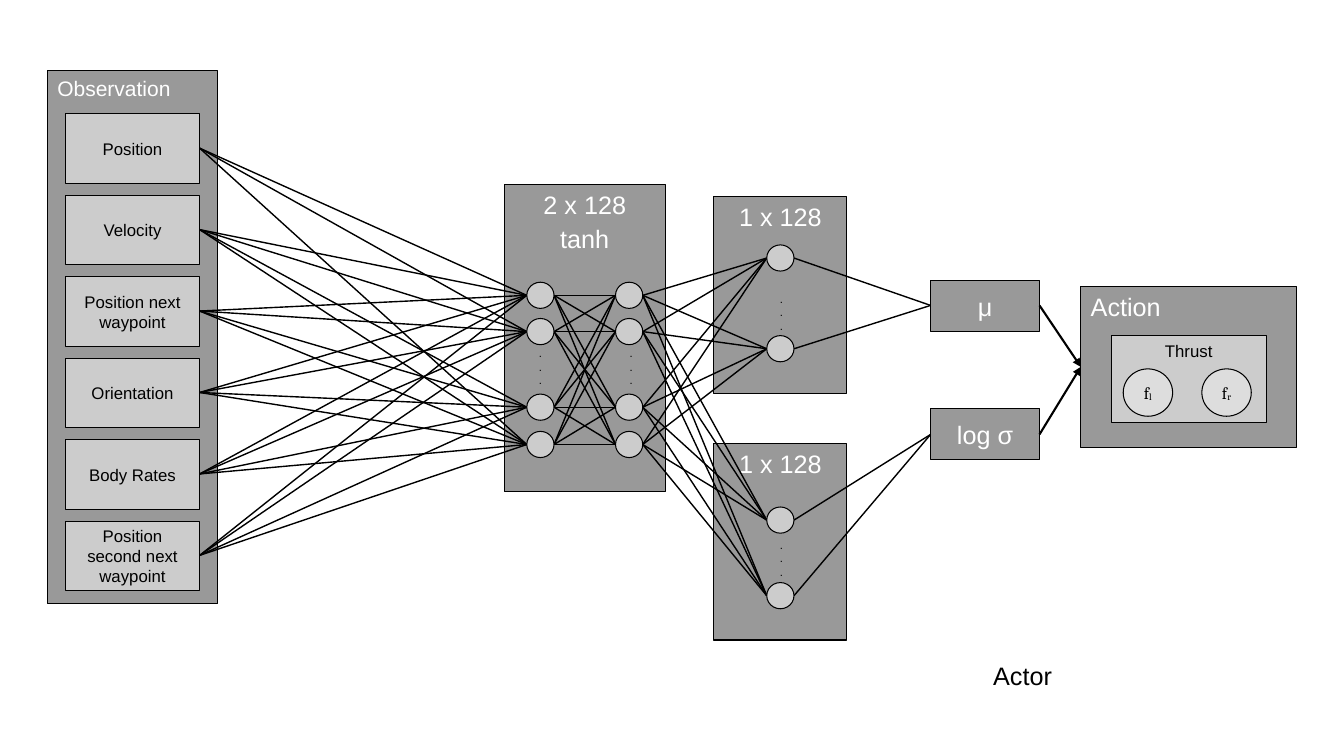
from itertools import product

from lxml.etree import SubElement
from pptx import Presentation
from pptx.dml.color import RGBColor
from pptx.enum.shapes import MSO_CONNECTOR, MSO_SHAPE
from pptx.enum.text import MSO_ANCHOR, MSO_AUTO_SIZE, PP_ALIGN
from pptx.oxml.ns import qn
from pptx.util import Inches, Pt

HEX = {"panel": "999999", "cell": "CCCCCC", "force": "DDDDDD",
       "black": "000000", "white": "FFFFFF"}
LEFT, MID = PP_ALIGN.LEFT, PP_ALIGN.CENTER
TOP, CENTER = MSO_ANCHOR.TOP, MSO_ANCHOR.MIDDLE
NODE_W, NODE_H = 0.27, 0.26


def color(name):
    return RGBColor.from_string(HEX[name])


class Diagram:
    """Draws the elements of the network on one slide."""

    def __init__(self, slide):
        self.slide = slide
        self.shapes = slide.shapes

    def label(self, shape, lines, size, ink="black", align=MID, anchor=TOP,
              font="Arial", gap=0):
        """Fill a shape with one paragraph per line; a line is a list of runs."""
        frame = shape.text_frame
        frame.word_wrap = True
        frame.auto_size = MSO_AUTO_SIZE.NONE
        frame.vertical_anchor = anchor
        for i, runs in enumerate(lines):
            para = frame.add_paragraph() if i else frame.paragraphs[0]
            for text in runs:
                para.add_run().text = text
            para.alignment = align
            if i:
                para.space_before = Pt(gap)
            para.font.name = font
            para.font.size = Pt(size)
            para.font.color.rgb = color(ink)
        return frame

    def shape(self, kind, box, fill, width):
        item = self.shapes.add_shape(kind, *map(Inches, box))
        item.shadow.inherit = False
        item.fill.solid()
        item.fill.fore_color.rgb = color(fill)
        item.line.color.rgb = color("black")
        item.line.width = Pt(width)
        return item

    def block(self, box, lines, size=18, fill="panel", ink="white", **style):
        item = self.shape(MSO_SHAPE.RECTANGLE, box, fill, 0.79)
        self.label(item, [[line] for line in lines], size, ink, gap=2.9, **style)

    def node(self, x, y):
        """Draw a neuron centred on a point."""
        box = (x - NODE_W / 2, y - NODE_H / 2, NODE_W, NODE_H)
        self.shape(MSO_SHAPE.OVAL, box, "cell", 0)

    def force(self, x, sub):
        item = self.shape(MSO_SHAPE.OVAL, (x, 3.66, 0.49, 0.47), "force", 0)
        frame = self.label(item, [["f", sub]], 12, anchor=CENTER, font="Cambria")
        low = frame.paragraphs[0].runs[1].font
        low._element.set("baseline", "-8000")

    def dots(self, x, y):
        box = self.shapes.add_textbox(*map(Inches, (x - 0.1, y, 0.2, 0.57)))
        frame = self.label(box, [["."]] * 3, 8)
        frame.margin_left = frame.margin_right = 0

    def line(self, start, end, width=1, arrow=False):
        item = self.shapes.add_connector(
            MSO_CONNECTOR.STRAIGHT, *map(Inches, (*start, *end)))
        item.line.color.rgb = color("black")
        item.line.width = Pt(width)
        props = item._element.spPr
        if arrow:
            SubElement(props.find(qn("a:ln")), qn("a:tailEnd"), type="triangle")
        SubElement(props, qn("a:effectLst"))

    def mesh(self, starts, ends, skip=()):
        """Join every start point to every end point, except skipped pairs."""
        for pair in product(starts, ends):
            if pair not in skip:
                self.line(*pair)

    def title(self, box, text):
        item = self.shapes.title
        item.left, item.top, item.width, item.height = map(Inches, box)
        self.label(item, [[text]], 18, align=LEFT)


def column(x, rows):
    return [(x, y) for y in rows]


def main():
    deck = Presentation()
    deck.slide_width, deck.slide_height = Inches(13.33), Inches(7.5)
    net = Diagram(deck.slides.add_slide(deck.slide_layouts[5]))
    net.title((9.75, 6.5, 2.75, 0.38), "Actor")

    # Observation inputs
    net.block((0.47, 0.7, 1.69, 5.29), ["Observation"], 15, align=LEFT)
    inputs = ["Position", "Velocity", "Position next waypoint", "Orientation",
              "Body Rates", "Position second next waypoint"]
    step = (5.17 - 1.13) / (len(inputs) - 1)
    tops = [1.13 + i * step for i in range(len(inputs))]
    for name, top in zip(inputs, tops):
        net.block((0.65, top, 1.33, 0.69), [name], 12, "cell", "black",
                  anchor=CENTER)

    # Layer panels
    net.block((5, 1.83, 1.6, 3.05), ["2 x 128", "tanh"])
    for top in (1.95, 4.4):
        net.block((7.08, top, 1.32, 1.95), ["1 x 128"])

    # Distribution parameters and action
    for name, top in (("μ", 2.78), ("log σ", 4.05)):
        net.block((9.23, top, 1.08, 0.51), [name], anchor=CENTER)
    net.block((10.72, 2.84, 2.14, 1.6), ["Action"], align=LEFT)
    net.block((11.02, 3.33, 1.54, 0.86), ["Thrust"], 12, "cell", "black")
    net.force(11.14, "l")
    net.force(11.92, "r")

    # Links between layers
    half = NODE_W / 2
    first, second, last = 5.36, 6.24, 7.74
    hidden = (2.93, 3.29, 4.04, 4.41)
    heads = {3.03: (2.56, 3.46), 4.31: (5.16, 5.91)}
    sources = column(1.98, [top + 0.34 for top in tops])
    entry = column(first - half, hidden)
    net.mesh(sources, entry, skip=[(sources[0], entry[2])])
    net.mesh(column(first + half, hidden), column(second - half, hidden))
    for out, rows in heads.items():
        net.mesh(column(second + half, hidden), column(last - half, rows))
        net.mesh(column(last + half, rows), [(9.23, out)])
        net.line((10.31, out), (10.72, 3.64), 1.5, arrow=True)

    # Neurons
    for x, y in product((first, second), hidden):
        net.node(x, y)
    for rows in heads.values():
        for y in rows:
            net.node(last, y)
    for x, y in ((5.36, 3.39), (6.26, 3.39), (7.75, 2.85), (7.75, 5.29)):
        net.dots(x, y)

    deck.save("out.pptx")


if __name__ == "__main__":
    main()
